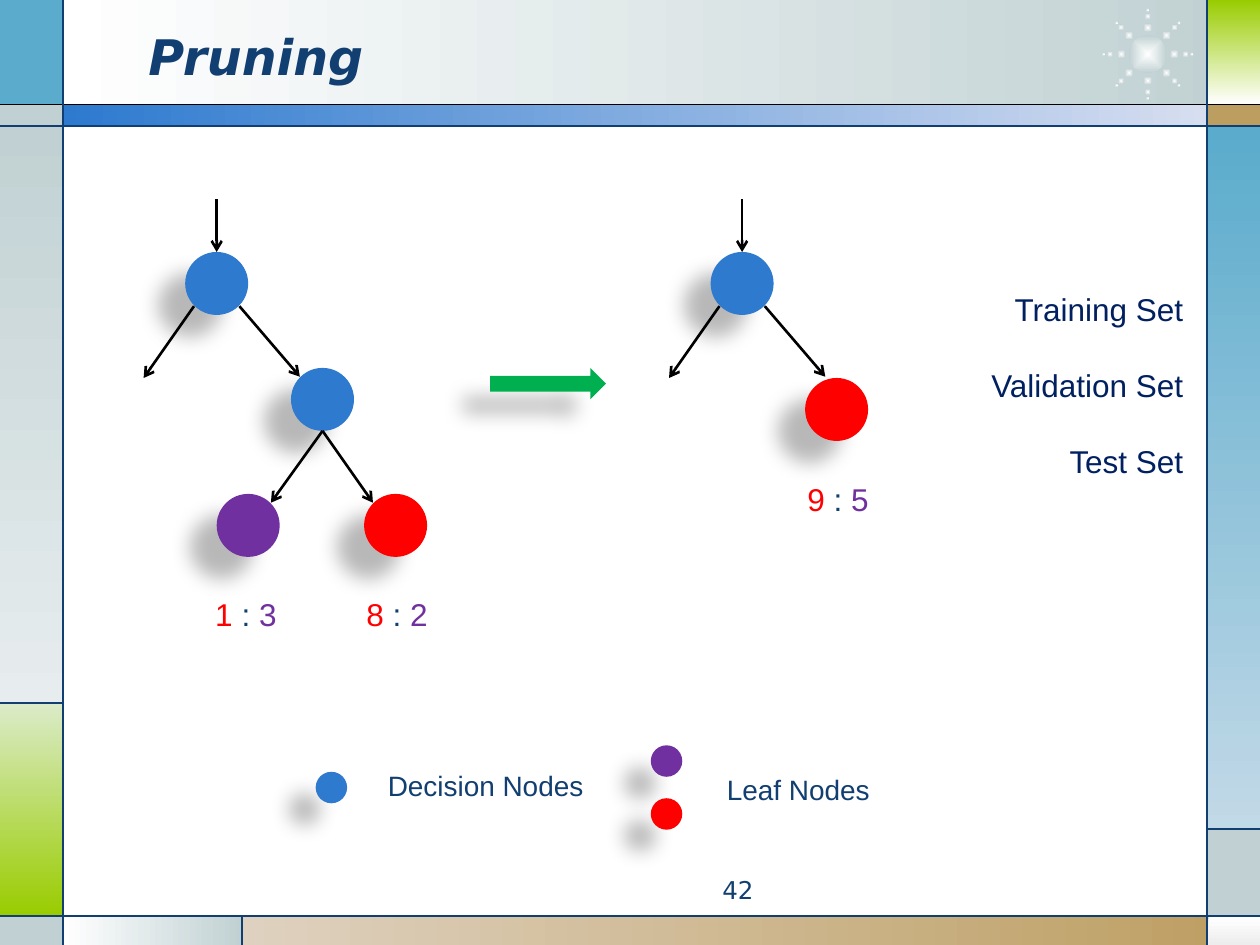
from dataclasses import dataclass
from math import cos, radians, sin
from typing import NamedTuple

from lxml.etree import SubElement
from pptx import Presentation
from pptx.dml.color import RGBColor as Rgb
from pptx.enum.shapes import MSO_CONNECTOR as Connector, MSO_SHAPE as Preset
from pptx.enum.text import MSO_ANCHOR as Anchor, MSO_AUTO_SIZE as AutoSize, PP_ALIGN as Align
from pptx.oxml.ns import qn
from pptx.util import Inches, Pt


@dataclass(frozen=True)
class Theme:
    navy: str = "113F71"
    deep_navy: str = "002060"
    blue: str = "2D7ACF"
    purple: str = "7030A0"
    red: str = "FF0000"
    green: str = "00B050"
    black: str = "000000"
    white: str = "FFFFFF"
    mist: str = "C1D1D3"
    sky: str = "5AABCC"
    lime: str = "99CC00"
    tan: str = "BD9E61"
    heading_font: str = "DejaVu Sans"
    body_font: str = "Arial"
    title_size: int = 28
    body_size: int = 18
    legend_size: int = 16
    page_size: int = 14
    thin: float = 0.75
    thick: float = 1.5


THEME = Theme()


class Panel(NamedTuple):
    left: float
    top: float
    width: float
    height: float
    colors: tuple[str, ...]
    angle: int = 0


class Line(NamedTuple):
    x1: float
    y1: float
    x2: float
    y2: float
    color: str = THEME.navy


class Node(NamedTuple):
    x: float
    y: float
    color: str
    size: float = 0.5


class Span(NamedTuple):
    text: str
    color: str


class Label(NamedTuple):
    left: float
    top: float
    width: float
    height: float
    paras: tuple[tuple[Span, ...], ...]
    size: int = THEME.body_size
    font: str = THEME.body_font
    align: Align = Align.LEFT
    gap: int = 0
    bold: bool = False
    italic: bool = False
    fit: bool = True


DOWN = 270
PANELS = (
    Panel(0.5, 0, 9.27, 0.84, (THEME.white, THEME.mist)),
    Panel(0, 0, 0.5, 0.84, (THEME.sky,)),
    Panel(0, 0.83, 0.5, 0.17, (THEME.mist,)),
    Panel(0, 1, 0.5, 4.58, (THEME.mist, "E7EDEE"), DOWN),
    Panel(0, 5.58, 0.5, 1.69, ("DBEBC9", THEME.lime), DOWN),
    Panel(0, 7.27, 0.5, 0.23, (THEME.mist,)),
    Panel(0.5, 7.27, 1.42, 0.23, (THEME.white, THEME.mist)),
    Panel(1.92, 7.27, 8.08, 0.23, ("DED1BF", THEME.tan)),
    Panel(9.59, 7.27, 0.41, 0.23, (THEME.white, "EDEDED"), DOWN),
    Panel(9.58, 6.58, 0.42, 0.69, (THEME.mist,)),
    Panel(9.58, 1, 0.42, 5.58, (THEME.sky, "C2D9E7"), DOWN),
    Panel(9.58, 0.83, 0.42, 0.17, (THEME.tan,)),
    Panel(9.58, 0, 0.42, 0.83, (THEME.lime, THEME.white), DOWN),
    Panel(0.5, 0.83, 9.08, 0.17, (THEME.blue, "D7DEF0")),
)
RULES = (
    Line(0, 0.83, 10, 0.83, THEME.black),
    Line(0, 1, 10, 1),
    Line(0, 7.27, 10, 7.27),
    Line(0.5, 0, 0.5, 7.5),
    Line(9.58, 0, 9.58, 7.5),
    Line(0, 5.58, 0.5, 5.58),
    Line(1.92, 7.27, 1.92, 7.5),
    Line(9.58, 6.58, 10, 6.58),
)
BURST_X, BURST_Y = 9.11, 0.43
BURST_DOTS = ((0.21, 0.07), (0.3, 0.05), (0.35, 0.03))
ROOTS = (1.72, 5.89)
NODES = (
    *(Node(x, 2.25, THEME.blue) for x in ROOTS),
    Node(2.56, 3.17, THEME.blue),
    Node(1.97, 4.17, THEME.purple),
    Node(3.14, 4.17, THEME.red),
    Node(6.64, 3.25, THEME.red),
    Node(2.63, 6.25, THEME.blue, 0.25),
    Node(5.29, 6.04, THEME.purple, 0.25),
    Node(5.29, 6.46, THEME.red, 0.25),
)
ROOT_ARROWS = (Line(0, 1.58, 0, 2), Line(-0.18, 2.43, -0.58, 3), Line(0.18, 2.43, 0.66, 2.99))
LEAF_ARROWS = (Line(2.56, 3.42, 2.15, 3.99), Line(2.56, 3.42, 2.96, 3.99))


def plain(*texts: str, color: str = THEME.navy) -> tuple[tuple[Span, ...], ...]:
    return tuple((Span(text, color),) for text in texts)


def ratio(left: float, top: float, reds: int, purples: int) -> Label:
    spans = (Span(f"{reds} ", THEME.red), Span(": ", THEME.navy), Span(str(purples), THEME.purple))
    return Label(left, top, 0.69, 0.4, (spans,))


LABELS = (
    Label(1.08, 0.13, 7.33, 0.62, plain("Pruning"), THEME.title_size, THEME.heading_font,
          bold=True, italic=True, fit=False),
    Label(3.75, 6.93, 2.33, 0.27, plain("42"), THEME.page_size, THEME.heading_font,
          Align.RIGHT, fit=False),
    Label(2.98, 6.05, 1.77, 0.37, plain("Decision Nodes"), THEME.legend_size),
    Label(5.67, 6.08, 1.35, 0.37, plain("Leaf Nodes"), THEME.legend_size),
    ratio(1.61, 4.67, 1, 3),
    ratio(2.81, 4.67, 8, 2),
    ratio(6.31, 3.76, 9, 5),
    Label(7.75, 2.25, 1.74, 1.62,
          plain("Training Set", "Validation Set", "Test Set", color=THEME.deep_navy),
          align=Align.RIGHT, gap=22),
)


def add_shape(page, preset: Preset, panel: Panel):
    shape = page.shapes.add_shape(preset, *(Inches(value) for value in panel[:4]))
    shape.shadow.inherit = False
    shape.line.fill.background()
    if len(panel.colors) == 1:
        shape.fill.solid()
        shape.fill.fore_color.rgb = Rgb.from_string(panel.colors[0])
    else:
        shape.fill.gradient()
        shape.fill.gradient_angle = panel.angle
        for stop, color in zip(shape.fill.gradient_stops, panel.colors):
            stop.color.rgb = Rgb.from_string(color)
    return shape


def add_shadow(shape) -> None:
    effects = shape._element.spPr.find(qn("a:effectLst"))
    shadow = SubElement(effects, qn("a:outerShdw"), blurRad=str(Pt(11.8)), dist=str(Pt(19.7)),
                        dir=str(141 * 60000), algn="ctr", rotWithShape="0")
    color = SubElement(shadow, qn("a:srgbClr"), val=THEME.black)
    SubElement(color, qn("a:alpha"), val="28000")


def add_circle(page, node: Node, *colors: str):
    corner = node.x - node.size / 2, node.y - node.size / 2
    return add_shape(page, Preset.OVAL, Panel(*corner, node.size, node.size, colors or (node.color,)))


def add_burst(page) -> None:
    rays = [(radians(45 * turn), dot) for turn in range(8) for dot in BURST_DOTS]
    dots = [Node(BURST_X + radius * cos(angle), BURST_Y + radius * sin(angle), THEME.white, size)
            for angle, (radius, size) in rays]
    for node in (Node(BURST_X, BURST_Y, THEME.white, 0.3), *dots):
        circle = add_circle(page, node, THEME.white, THEME.mist)
        gradient = circle._element.spPr.find(qn("a:gradFill"))
        gradient.remove(gradient.find(qn("a:lin")))
        radial = SubElement(gradient, qn("a:path"), path="shape")
        SubElement(radial, qn("a:fillToRect"), l="50000", t="50000", r="50000", b="50000")


def add_line(page, line: Line, width: float, arrow: bool = False) -> None:
    connector = page.shapes.add_connector(Connector.STRAIGHT, *(Inches(value) for value in line[:4]))
    connector.line.color.rgb = Rgb.from_string(line.color)
    connector.line.width = Pt(width)
    SubElement(connector._element.spPr, qn("a:effectLst"))
    if arrow:
        SubElement(connector.line._get_or_add_ln(), qn("a:tailEnd"), type="arrow")


def add_label(page, label: Label) -> None:
    box = page.shapes.add_textbox(*(Inches(value) for value in label[:4]))
    frame = box.text_frame
    frame_format = {
        "word_wrap": not label.fit,
        "auto_size": AutoSize.SHAPE_TO_FIT_TEXT if label.fit else AutoSize.NONE,
        "vertical_anchor": Anchor.TOP if label.fit else Anchor.MIDDLE,
    }
    for name, value in frame_format.items():
        setattr(frame, name, value)
    font_format = {"name": label.font, "size": Pt(label.size), "bold": label.bold, "italic": label.italic}
    for index, spans in enumerate(label.paras):
        para = frame.add_paragraph() if index else frame.paragraphs[0]
        para.alignment = label.align
        if index:
            para.space_before = Pt(label.gap)
        for span in spans:
            run = para.add_run()
            run.text = span.text
            for name, value in font_format.items():
                setattr(run.font, name, value)
            run.font.color.rgb = Rgb.from_string(span.color)


def main() -> None:
    deck = Presentation()
    deck.slide_width, deck.slide_height = Inches(10), Inches(7.5)
    page = deck.slides.add_slide(deck.slide_layouts[6])
    for panel in PANELS:
        add_shape(page, Preset.RECTANGLE, panel)
    add_burst(page)
    for rule in RULES:
        add_line(page, rule, THEME.thin)
    for node in NODES:
        add_shadow(add_circle(page, node))
    root_arrows = [Line(x + arrow.x1, arrow.y1, x + arrow.x2, arrow.y2) for x in ROOTS for arrow in ROOT_ARROWS]
    for arrow in (*root_arrows, *LEAF_ARROWS):
        add_line(page, arrow._replace(color=THEME.black), THEME.thick, arrow=True)
    add_shadow(add_shape(page, Preset.RIGHT_ARROW, Panel(3.89, 2.92, 0.92, 0.25, (THEME.green,))))
    for label in LABELS:
        add_label(page, label)
    deck.save("out.pptx")


if __name__ == "__main__":
    main()
